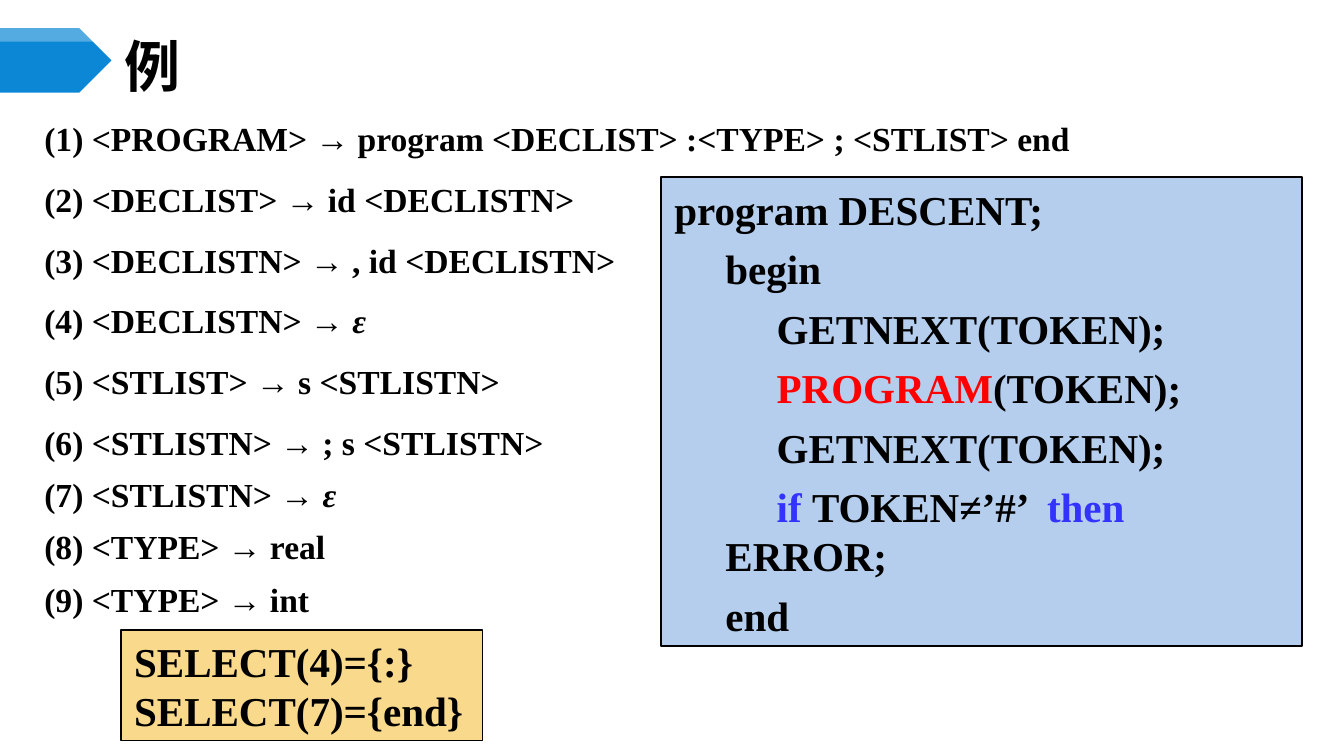
from lxml import etree
from pptx import Presentation
from pptx import util as u
from pptx.dml.color import RGBColor
from pptx.enum import shapes, text
from pptx.oxml import ns

BLACK = RGBColor(0x00, 0x00, 0x00)
WHITE = RGBColor(0xFF, 0xFF, 0xFF)
RED = RGBColor(0xFF, 0x00, 0x00)
KEYWORD = RGBColor(0x33, 0x33, 0xFF)
RIBBON = RGBColor(0x0B, 0x87, 0xD6)
SAND = RGBColor(0xF9, 0xD9, 0x8C)
SKY = RGBColor(0xB5, 0xCE, 0xED)
LATIN, HAN = "Times New Roman", "Noto Sans CJK SC"
HANG = u.Inches(0.38)

RULES = [
    "(1) <PROGRAM> → program <DECLIST> :<TYPE> ; <STLIST> end",
    "(2) <DECLIST> → id <DECLISTN>",
    "(3) <DECLISTN> → , id <DECLISTN>",
    "(4) <DECLISTN> → ε",
    "(5) <STLIST> → s <STLISTN>",
    "(6) <STLISTN> → ; s <STLISTN>",
    "(7) <STLISTN> → ε",
    "(8) <TYPE> → real",
    "(9) <TYPE> → int",
]
CODE = [
    [("program DESCENT;", BLACK)],
    [("\tbegin", BLACK)],
    [("\t     GETNEXT(TOKEN);", BLACK)],
    [("\t     ", BLACK), ("PROGRAM", RED), ("(TOKEN);", BLACK)],
    [("\t     GETNEXT(TOKEN);", BLACK)],
    [("\t     ", BLACK), ("if ", KEYWORD), ("TOKEN≠’#’ ", BLACK),
     (" then ", KEYWORD), ("ERROR;", BLACK)],
    [("\tend", BLACK)],
]
SELECT_SETS = ["SELECT(4)={:}", "SELECT(7)={end}"]


def add_span(para, words, size, color=BLACK, name=LATIN):
    span = para.add_run()
    span.text = words
    span.font.size, span.font.name = u.Pt(size), name
    span.font.bold, span.font.italic = True, words == "ε"
    span.font.color.rgb = color
    if name == HAN:
        etree.SubElement(span.font._element, ns.qn("a:ea"), typeface=name)


def set_layout(para, before=0, hanging=True):
    """Left-align a paragraph without bullet, with an optional hanging indent."""
    para.alignment = text.PP_ALIGN.LEFT
    para.space_before = u.Pt(before)
    props = para._p.get_or_add_pPr()
    props.set("marL", str(HANG if hanging else 0))
    props.set("indent", str(-HANG if hanging else 0))
    etree.SubElement(props, ns.qn("a:buNone"))


deck = Presentation()
deck.slide_width = u.Inches(10)
deck.slide_height = deck.slide_width * 9 // 16
page = deck.slides.add_slide(deck.slide_layouts[1])

# Ribbon: a blue arrow with a lighter band along its top, in hundredths of an inch
ribbon_outlines = [
    ([(0, 21), (59, 21), (83, 45), (59, 69), (0, 69)], RIBBON),
    ([(0, 21), (78, 21), (83, 26), (78, 31), (0, 31)], WHITE),
]
for points, color in ribbon_outlines:
    builder = page.shapes.build_freeform(*points[0], scale=u.Inches(0.01))
    builder.add_line_segments(points[1:], close=True)
    ribbon = builder.convert_to_shape()
    ribbon.shadow.inherit = False
    ribbon.line.fill.background()
    ribbon.fill.solid()
    ribbon.fill.fore_color.rgb = color
    if color == WHITE:
        tint = ribbon._element.spPr.find(".//" + ns.qn("a:srgbClr"))
        etree.SubElement(tint, ns.qn("a:alpha"), val="30000")

# Title
title = page.shapes.title
title.left, title.top = u.Inches(0.83), u.Inches(0.29)
title.width, title.height = u.Inches(8.67), u.Inches(0.39)
title.text_frame.vertical_anchor = text.MSO_ANCHOR.MIDDLE
title.text_frame.auto_size = text.MSO_AUTO_SIZE.NONE
heading = title.text_frame.paragraphs[0]
set_layout(heading, hanging=False)
add_span(heading, "例", 30, name=HAN)

# Grammar rules
grammar = page.placeholders[1]
grammar.left, grammar.top = u.Inches(0.23), u.Inches(0.74)
grammar.width, grammar.height = u.Inches(9.53), u.Inches(3.91)
grammar.text_frame.auto_size = text.MSO_AUTO_SIZE.SHAPE_TO_FIT_TEXT
for index, rule in enumerate(RULES):
    para = grammar.text_frame.paragraphs[0] if index == 0 else grammar.text_frame.add_paragraph()
    para.line_spacing = u.Pt(28)
    set_layout(para, before=4.5 if 0 < index < 6 else 0)
    head, epsilon, _ = rule.partition("ε")
    add_span(para, head, 18)
    if epsilon:
        add_span(para, epsilon, 18)

# Framed boxes: the SELECT sets and the main program
framed_boxes = [
    ((0.9, 4.69, 2.69, 0.82), SAND, [[(line, BLACK)] for line in SELECT_SETS], False),
    ((4.92, 1.32, 4.77, 3.49), SKY, CODE, True),
]
for area, color, lines, is_code in framed_boxes:
    box = page.shapes.add_shape(shapes.MSO_SHAPE.RECTANGLE, *map(u.Inches, area))
    box.shadow.inherit = False
    box.fill.solid()
    box.fill.fore_color.rgb = color
    box.line.color.rgb = BLACK
    box.line.width = u.Pt(1)
    frame = box.text_frame
    frame.word_wrap = is_code
    frame.vertical_anchor = text.MSO_ANCHOR.TOP if is_code else text.MSO_ANCHOR.MIDDLE
    if is_code:
        frame.auto_size = text.MSO_AUTO_SIZE.SHAPE_TO_FIT_TEXT
    for index, line in enumerate(lines):
        para = frame.paragraphs[0] if index == 0 else frame.add_paragraph()
        set_layout(para, before=5.5 if is_code and index else 0, hanging=is_code)
        for words, tone in line:
            add_span(para, words, 22, tone)

deck.save("out.pptx")
